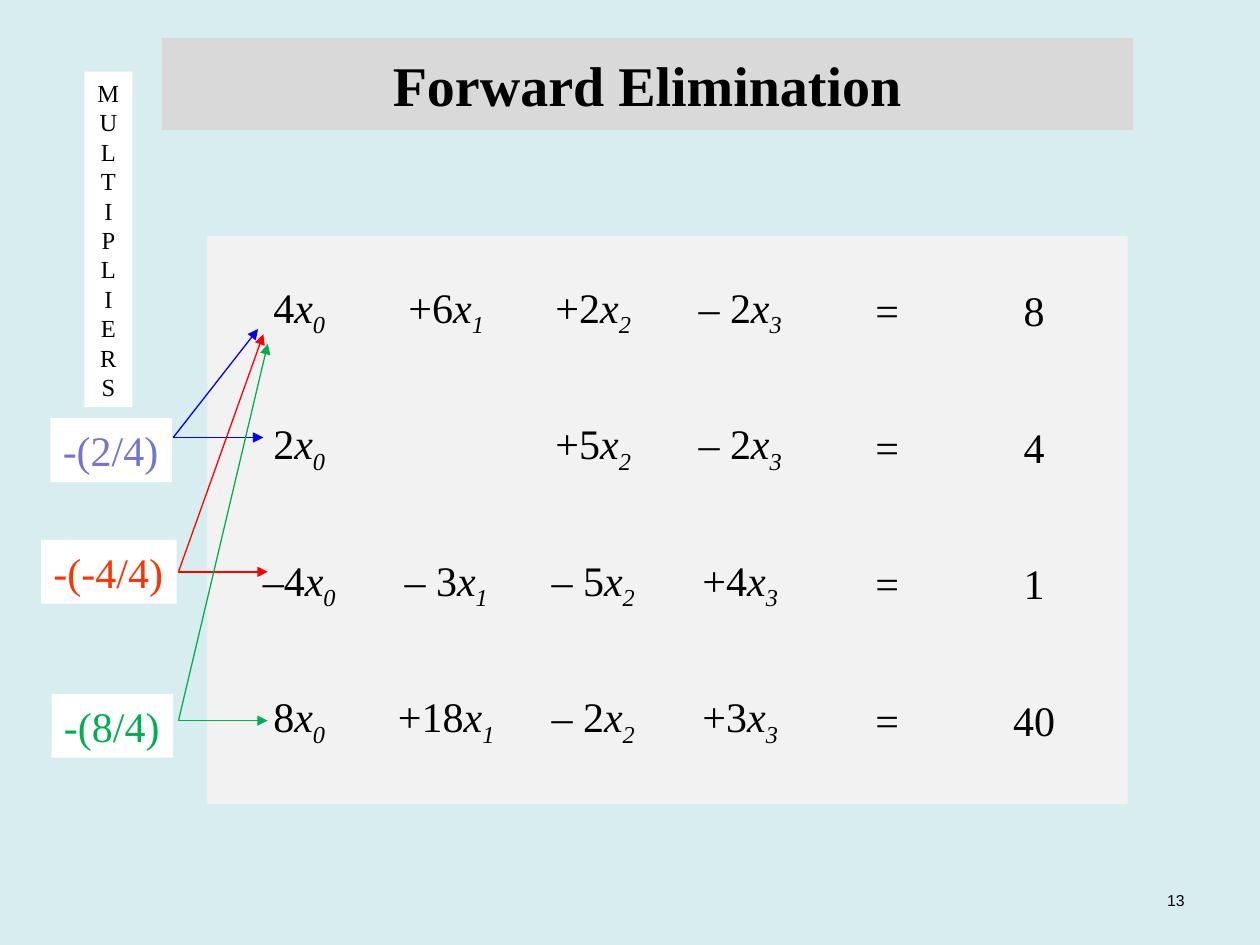
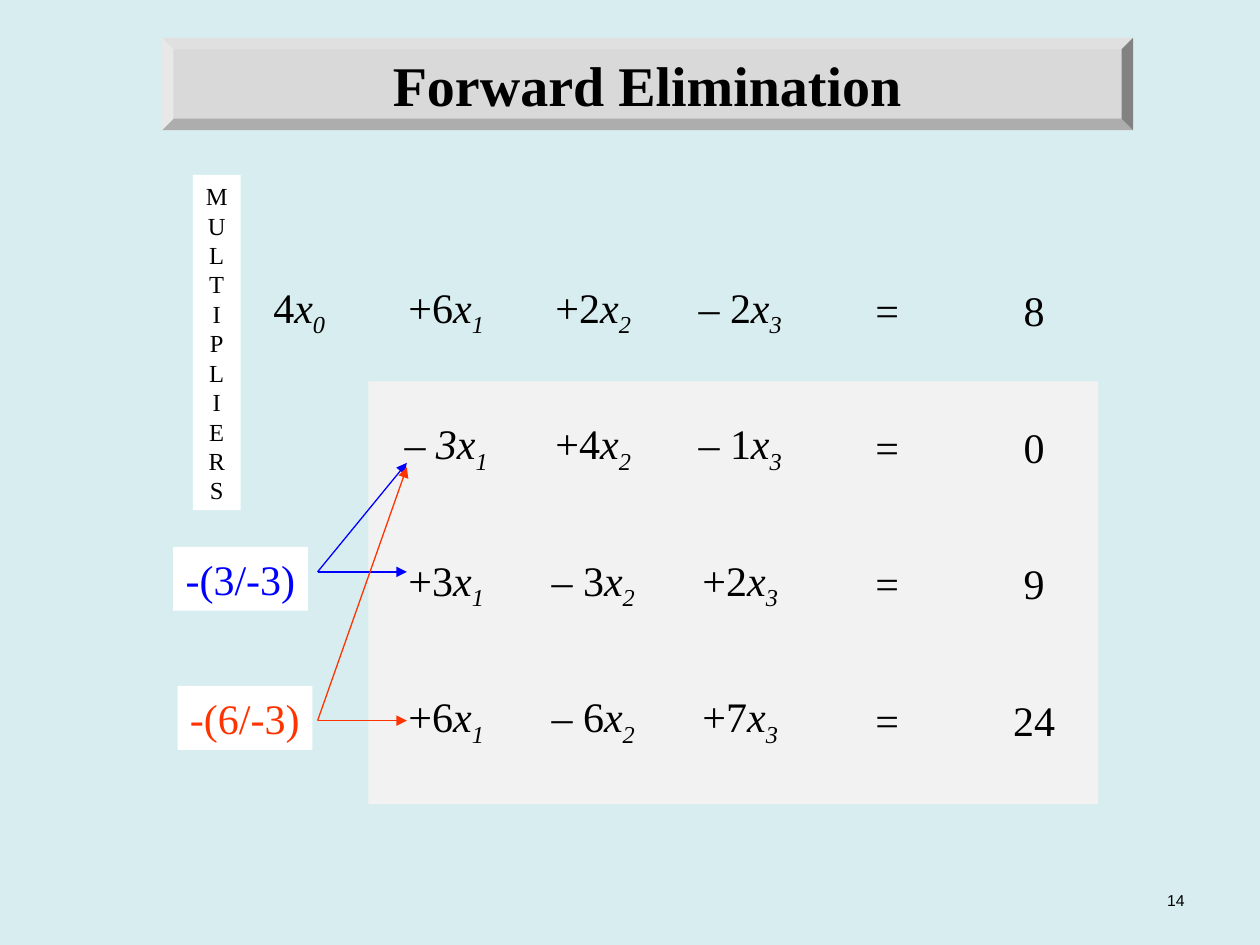
from dataclasses import dataclass
from lxml.etree import SubElement
from pptx import Presentation
from pptx.dml.color import RGBColor as RGB
from pptx.enum.shapes import MSO_CONNECTOR as Link, MSO_SHAPE as Shape
from pptx.enum.text import MSO_ANCHOR as Anchor, MSO_AUTO_SIZE as Fit, PP_ALIGN as Align
from pptx.oxml.ns import qn
from pptx.util import Pt


@dataclass(frozen=True)
class Theme:
    back: str = "D8EDEF"
    band: str = "D9D9D9"
    panel: str = "F2F2F2"
    white: str = "FFFFFF"
    ink: str = "000000"
    blue: str = "0000FF"
    pale: str = "7575D1"
    red: str = "FF0000"
    flame: str = "FF3300"
    green: str = "00B050"
    serif: str = "Times New Roman"
    sans: str = "Arial"
    head: int = 32
    math: int = 24
    tag: int = 14
    foot: int = 9


T = Theme()
BAND = (92.5, 21.6, 555, 52.8)
LEFT, TOP, CELL = 138, 144, 66
COLS, ROWS = 84, 78


def paint(shape, color):
    shape.fill.solid()
    shape.fill.fore_color.rgb = RGB.from_string(color)


def write(para, text, size, color=T.ink, font=T.serif, bold=False, slant=False):
    run = para.add_run()
    run.text = text
    run.font.size = Pt(size)
    run.font.name = font
    run.font.bold = bold
    run.font.italic = slant
    run.font.color.rgb = RGB.from_string(color)
    return run


def add_block(slide, kind, area, color):
    block = slide.shapes.add_shape(kind, *map(Pt, area))
    block.shadow.inherit = False
    paint(block, color)
    block.line.fill.background()


def add_text(slide, area, align=Align.LEFT, wrap=False, fill=None):
    box = slide.shapes.add_textbox(*map(Pt, area))
    if fill:
        paint(box, fill)
    frame = box.text_frame
    frame.word_wrap = wrap
    frame.paragraphs[0].alignment = align
    return frame


def add_title(slide, text, bevel):
    title = slide.shapes.title
    title.left, title.top, title.width, title.height = map(Pt, BAND)
    if bevel:
        add_block(slide, Shape.BEVEL, BAND, T.band)
    else:
        paint(title, T.band)
    slide.shapes.element.append(title.element)
    frame = title.text_frame
    frame.auto_size = Fit.NONE
    frame.vertical_anchor = Anchor.MIDDLE
    para = frame.paragraphs[0]
    para.alignment = Align.CENTER
    write(para, text, T.head, bold=True)


def add_term(slide, row, col, text):
    area = (LEFT + col * COLS, TOP + row * ROWS, CELL, CELL)
    frame = add_text(slide, area, Align.CENTER)
    frame.margin_left = frame.margin_right = 0
    frame.vertical_anchor = Anchor.MIDDLE
    para = frame.paragraphs[0]
    head, name, sub = text.partition("x")
    plain, _, lean = head.partition("*")
    write(para, plain, T.math)
    if name:
        write(para, lean + name, T.math, slant=True)
        run = write(para, sub, T.math, slant=True)
        run.font._element.set("baseline", "-25000")


def add_terms(slide, rows):
    for row, terms in enumerate(rows):
        for col, text in enumerate(terms):
            if text:
                add_term(slide, row, col, text)


def add_tag(slide, left, top):
    frame = add_text(slide, (left, top, 27.36, 191.52), fill=T.white)
    for spot, char in enumerate("MULTIPLIERS"):
        para = frame.add_paragraph() if spot else frame.paragraphs[0]
        para.alignment = Align.CENTER
        write(para, char, T.tag)


def add_label(slide, text, left, top, width, color):
    frame = add_text(slide, (left, top, width, 36.5), fill=T.white)
    write(frame.paragraphs[0], text, T.math, color)


def add_arrow(slide, start, end, color):
    line = slide.shapes.add_connector(Link.STRAIGHT, *map(Pt, start + end))
    line.line.width = Pt(0.75)
    line.line.color.rgb = RGB.from_string(color)
    SubElement(line.get_or_add_ln(), qn("a:tailEnd"), type="triangle")
    SubElement(line.element.spPr, qn("a:effectLst"))


def add_fan(slide, start, pivot, reach, color):
    for end in (pivot, (reach, start[1])):
        add_arrow(slide, start, end, color)


def add_foot(slide, number):
    frame = add_text(slide, (564.48, 505.44, 119.52, 23.76), Align.RIGHT, True)
    write(frame.paragraphs[0], str(number), T.foot, font=T.sans)


def add_step(deck, number, panel, rows, tag, labels, fans, bevel=False):
    slide = deck.slides.add_slide(deck.slide_layouts[5])
    add_block(slide, Shape.RECTANGLE, panel, T.panel)
    add_title(slide, "Forward Elimination", bevel)
    add_terms(slide, rows)
    add_tag(slide, *tag)
    for label in labels:
        add_label(slide, *label)
    for fan in fans:
        add_fan(slide, *fan)
    add_foot(slide, number)


def main():
    deck = Presentation()
    deck.slide_width, deck.slide_height = Pt(720), Pt(540)
    paint(deck.slide_master.background, T.back)
    first = ("4x0", "+6x1", "+2x2", "– 2x3", "=", "8")
    add_step(
        deck, 13, (118.5, 135, 526, 324.5),
        [first,
         ("2x0", "", "+5x2", "– 2x3", "=", "4"),
         ("–4x0", "– 3x1", "– 5x2", "+4x3", "=", "1"),
         ("8x0", "+18x1", "– 2x2", "+3x3", "=", "40")],
        (48.24, 41),
        [("-(2/4)", 28.8, 239, 69.5, T.pale),
         ("-(-4/4)", 23.5, 308.5, 77.5, T.flame),
         ("-(8/4)", 29.5, 396.5, 69.5, T.green)],
        [((99, 250), (147.5, 188), 150.5, T.blue),
         ((102, 326.8), (150.5, 191), 153, T.red),
         ((102, 411.8), (153, 196.5), 153, T.green)])
    add_step(
        deck, 14, (210.5, 218, 417, 241.5),
        [first,
         ("", "–* 3x1", "+4x2", "– 1x3", "=", "0"),
         ("", "+3x1", "– 3x2", "+2x3", "=", "9"),
         ("", "+6x1", "– 6x2", "+7x3", "=", "24")],
        (110.16, 100),
        [("-(3/-3)", 99, 312.5, 77, T.blue),
         ("-(6/-3)", 101.5, 392, 77, T.flame)],
        [((181.5, 326.8), (232.5, 264.5), 232.5, T.blue),
         ((181.5, 411.8), (232.5, 267), 232.5, T.flame)],
        bevel=True)
    deck.save("out.pptx")


if __name__ == "__main__":
    main()
